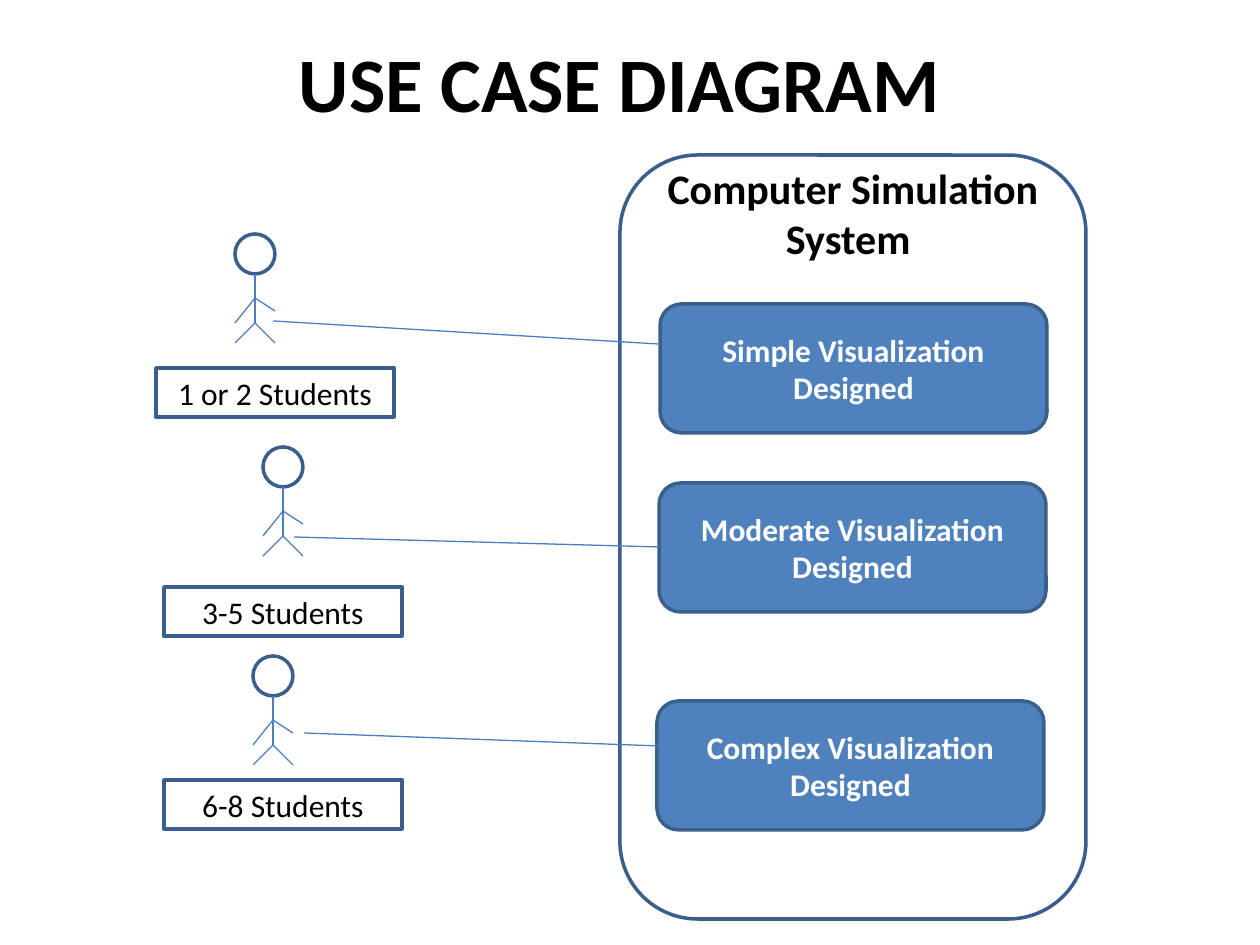
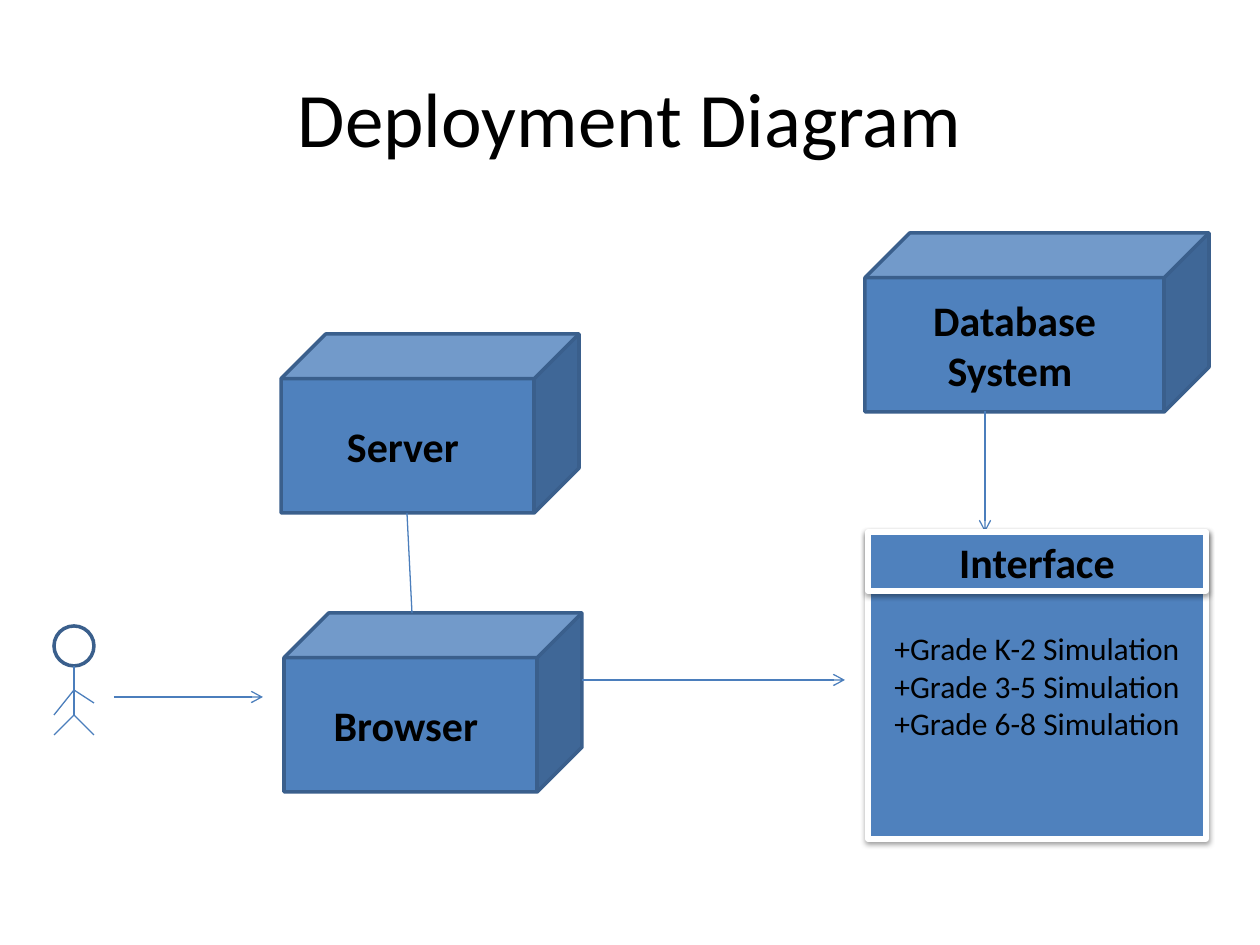
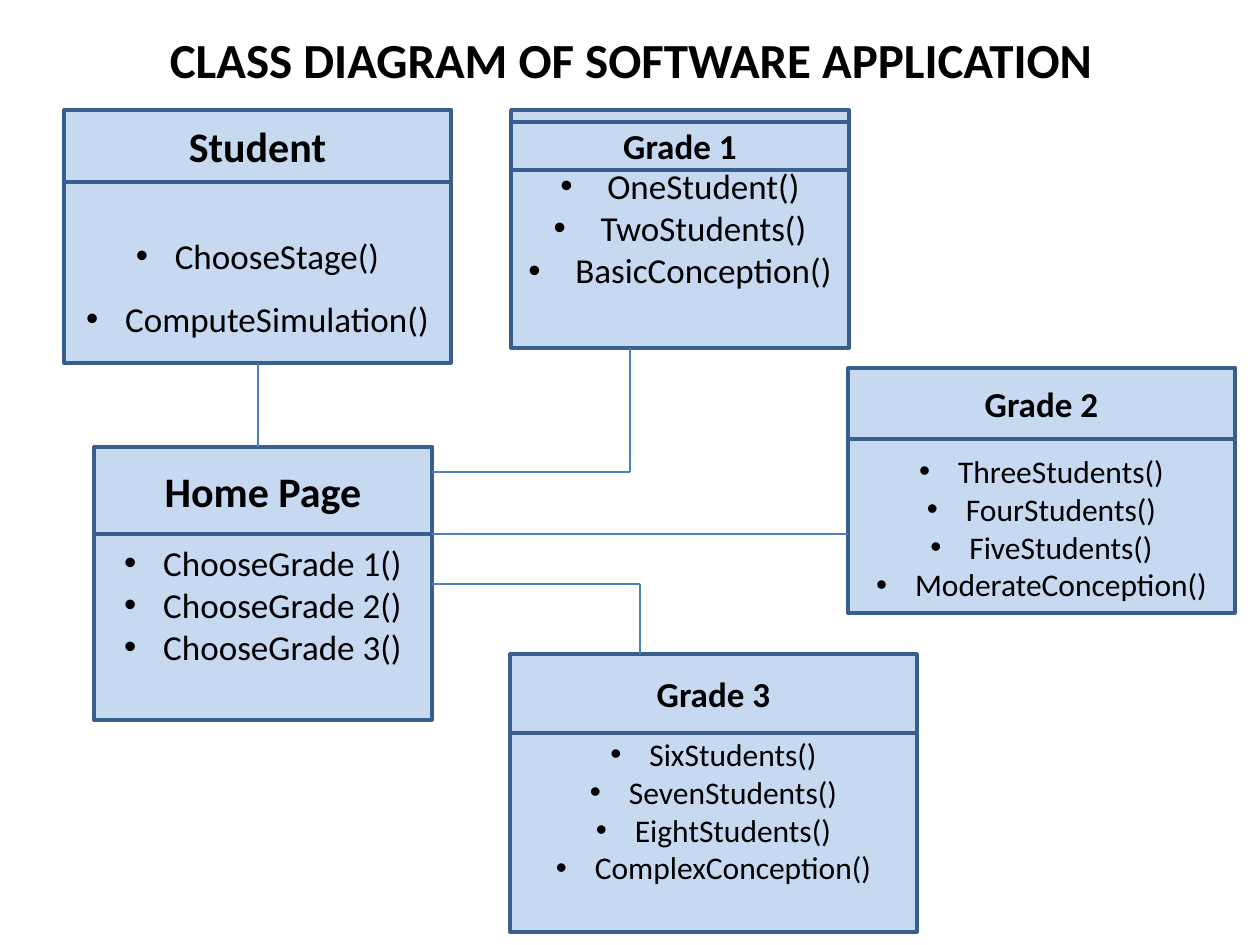
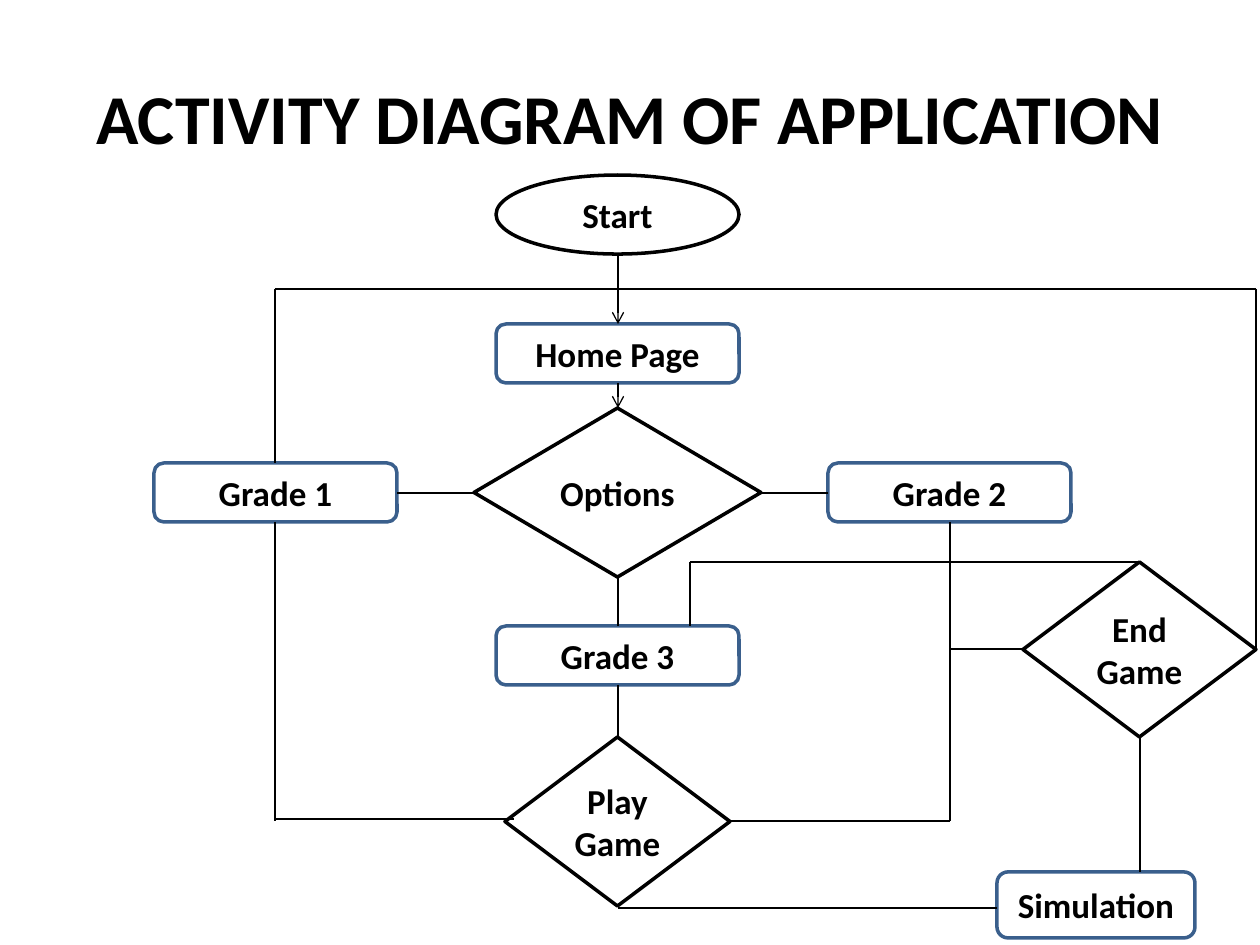
import pptx
import pptx.util
import pptx.dml.color
import pptx.enum.shapes
import pptx.enum.text
import pptx.oxml.ns
from lxml import etree

EMU_PER_PIXEL = 914400 / 126
FONT = "Calibri"
COLORS = {"black": "000000", "white": "FFFFFF", "blue": "4F81BD", "pale": "C6D9F1",
          "edge": "3A5F8C", "link": "4B7EBC"}
SHAPES = pptx.enum.shapes.MSO_SHAPE
MIDDLE = pptx.enum.text.MSO_ANCHOR.MIDDLE
TOP = pptx.enum.text.MSO_ANCHOR.TOP

# Boxes are (left, top, width, height); links are lists of corner points.
USE_CASE = {
    "title": ("USE CASE DIAGRAM", (53, 18, 1134, 127), 44, True),
    "system": ("Computer Simulation System ", (620, 155, 466, 764)),
    "case_size": (387, 129),
    "cases": [("Simple Visualization Designed", (660, 304)),
              ("Moderate Visualization Designed", (659, 483)),
              ("Complex Visualization Designed", (657, 701))],
    "actors": [(235, 234), (263, 447), (253, 656)],
    "label_size": (238, 49),
    "labels": [("1 or 2 Students", (156, 368)), ("3-5 Students", (164, 587)),
               ("6-8 Students", (164, 780))],
    "links": [[(273, 321), (658, 344)], [(294, 537), (659, 547)], [(304, 733), (660, 746)]],
}
DEPLOYMENT = {
    "title": ("Deployment Diagram", (63, 38, 1134, 157), 44, False),
    "actor": (54, 626),
    "cubes": [("Database System ", (865, 233, 344, 179)), ("Browser ", (284, 613, 298, 179)),
              ("Server ", (281, 334, 298, 179))],
    "interface": ("Interface", (868, 532, 338, 307), 59,
                  ["+Grade K-2 Simulation", "+Grade 3-5 Simulation", "+Grade 6-8 Simulation"]),
    "arrows": [[(114, 697), (263, 697)], [(985, 411), (985, 532)], [(582, 680), (845, 680)]],
    "links": [[(407, 513), (412, 613)]],
}
# name, name size, box, header offset, header height, text gap, text size, indent, spacing, methods
CLASSES = {
    "title": ("CLASS DIAGRAM OF SOFTWARE APPLICATION", (64, 0, 1134, 118), 28, True),
    "classes": [
        ("Grade 1", 20, (511, 110, 338, 238), 12, 48, -5, 20, 47, 1,
         ["OneStudent()", "TwoStudents()", "BasicConception()"]),
        ("Home Page", 24, (94, 447, 338, 273), 0, 87, 7, 20, 39, 1,
         ["ChooseGrade 1()", "ChooseGrade 2()", "ChooseGrade 3()"]),
        ("Grade 3", 20, (510, 654, 407, 278), 0, 79, 2, 18, 39, 1,
         ["SixStudents()", "SevenStudents()", "EightStudents()", "ComplexConception()"]),
        ("Grade 2", 20, (848, 368, 387, 245), 0, 71, 13, 18, 39, 1,
         ["ThreeStudents()", "FourStudents()", "FiveStudents()", "ModerateConception()"]),
        ("Student", 24, (64, 110, 387, 253), 0, 72, 32, 20, 39, 1.5,
         ["ChooseStage()", "ComputeSimulation()"]),
    ],
    "links": [[(258, 363), (258, 447)], [(630, 348), (630, 472), (432, 472)],
              [(432, 534), (848, 534)], [(432, 584), (640, 584), (640, 654)]],
}
ACTIVITY = {
    "title": ("ACTIVITY DIAGRAM OF APPLICATION", (63, 38, 1134, 157), 40, True),
    "nodes": [
        ("Start", SHAPES.OVAL, (496, 175, 243, 79)),
        ("Home Page", SHAPES.ROUNDED_RECTANGLE, (496, 324, 243, 59)),
        ("Options", SHAPES.DIAMOND, (474, 408, 287, 169)),
        ("Grade 1", SHAPES.ROUNDED_RECTANGLE, (154, 463, 243, 59)),
        ("Grade 2", SHAPES.ROUNDED_RECTANGLE, (828, 463, 243, 59)),
        ("Grade 3", SHAPES.ROUNDED_RECTANGLE, (496, 626, 243, 59)),
        ("Play Game", SHAPES.DIAMOND, (505, 737, 225, 169)),
        ("Simulation", SHAPES.ROUNDED_RECTANGLE, (997, 872, 198, 66)),
        ("End Game", SHAPES.DIAMOND, (1023, 562, 233, 175)),
    ],
    "arrows": [[(618, 254), (618, 324)], [(618, 383), (618, 408)]],
    "links": [[(474, 493), (397, 493)], [(761, 493), (828, 493)], [(618, 577), (618, 626)],
              [(618, 685), (618, 737)], [(275, 522), (275, 821)], [(275, 819), (514, 819)],
              [(950, 522), (950, 821), (730, 821)], [(618, 908), (997, 908)],
              [(1140, 872), (1140, 737)], [(950, 649), (1023, 649)],
              [(690, 626), (690, 562), (1140, 562)],
              [(275, 463), (275, 289), (1256, 289), (1256, 649)]],
}
# Stick figure, relative to the top left of its head.
HEAD_SIZE = 40
LIMBS = [[(20, 40), (20, 89)], [(0, 109), (20, 89), (40, 109)], [(0, 89), (20, 64), (40, 77)]]


def emu(*pixels):
    """Turn pixels into a list of EMU lengths."""
    return [pptx.util.Emu(round(value * EMU_PER_PIXEL)) for value in pixels]


def rgb(name):
    """Look up a named colour."""
    return pptx.dml.color.RGBColor.from_string(COLORS[name])


def write(shape, lines, size, bold=False, color="black", anchor=MIDDLE):
    """Write centred paragraphs into a shape."""
    frame = shape.text_frame
    frame.word_wrap = True
    frame.vertical_anchor = anchor
    frame.text = "\n".join(lines)
    for paragraph in frame.paragraphs:
        paragraph.alignment = pptx.enum.text.PP_ALIGN.CENTER
        paragraph.font.name = FONT
        paragraph.font.size = pptx.util.Pt(size)
        paragraph.font.bold = bold
        paragraph.font.color.rgb = rgb(color)


def add_text(slide, text, box, size, bold, anchor=MIDDLE):
    """Add a text box, such as a slide title."""
    write(slide.shapes.add_textbox(*emu(*box)), [text], size, bold, anchor=anchor)


def add_box(shapes, kind, box, fill=None, line="edge", width=2):
    """Add an outlined shape, filled when a colour is given."""
    shape = shapes.add_shape(kind, *emu(*box))
    shape.shadow.inherit = False
    if fill:
        shape.fill.solid()
        shape.fill.fore_color.rgb = rgb(fill)
    else:
        shape.fill.background()
    shape.line.color.rgb = rgb(line)
    shape.line.width = pptx.util.Pt(width)
    return shape


def add_links(shapes, routes, color="link", arrow=False):
    """Draw each route as straight connectors from corner to corner."""
    qn = pptx.oxml.ns.qn
    for route in routes:
        for start, end in zip(route, route[1:]):
            connector = shapes.add_connector(
                pptx.enum.shapes.MSO_CONNECTOR.STRAIGHT, *emu(*start, *end))
            connector.line.color.rgb = rgb(color)
            connector.line.width = pptx.util.Pt(0.75)
            if arrow:
                etree.SubElement(connector.line._get_or_add_ln(), qn("a:tailEnd"), type="arrow")
            etree.SubElement(connector._element.spPr, qn("a:effectLst"))


def add_actor(slide, left, top):
    """Draw a grouped stick figure."""
    shapes = slide.shapes.add_group_shape().shapes
    add_box(shapes, SHAPES.FLOWCHART_CONNECTOR, (left, top, HEAD_SIZE, HEAD_SIZE))
    add_links(shapes, [[(left + x, top + y) for x, y in limb] for limb in LIMBS])


def add_soft_shadow(shape):
    """Give a shape a soft shadow below it."""
    qn = pptx.oxml.ns.qn
    effects = shape._element.spPr.find(qn("a:effectLst"))
    shadow = etree.SubElement(effects, qn("a:outerShdw"), blurRad="40000", dist="20000",
                              dir="5400000", rotWithShape="0")
    color = etree.SubElement(shadow, qn("a:srgbClr"), val=COLORS["black"])
    etree.SubElement(color, qn("a:alpha"), val="38000")


def add_bullets(shape, indent, spacing):
    """Give every paragraph a hanging bullet."""
    for paragraph in shape.text_frame.paragraphs:
        paragraph.line_spacing = spacing
        properties = paragraph._p.get_or_add_pPr()
        width = emu(indent)[0]
        properties.set("marL", str(width))
        properties.set("indent", str(-width))
        bullet_font = pptx.oxml.ns.qn("a:buFont")
        bullet = pptx.oxml.ns.qn("a:buChar")
        default_run = properties.find(pptx.oxml.ns.qn("a:defRPr"))
        for tag, attributes in ((bullet_font, {"typeface": "Arial"}), (bullet, {"char": "•"})):
            element = etree.Element(tag, attributes)
            if default_run is None:
                properties.append(element)
            else:
                default_run.addprevious(element)


def add_class(slide, name, name_size, box, offset, header_height, gap, size, indent, spacing,
              methods):
    """Draw a class: a body with its methods and a header over it."""
    left, top, width, _ = box
    shapes = slide.shapes.add_group_shape().shapes
    body = add_box(shapes, SHAPES.RECTANGLE, box, "pale")
    write(body, methods, size, anchor=TOP)
    body.text_frame.margin_top = emu(offset + header_height + gap)[0]
    add_bullets(body, indent, spacing)
    header = add_box(shapes, SHAPES.RECTANGLE, (left, top + offset, width, header_height), "pale")
    write(header, [name], name_size, True)


def build_use_case(slide):
    """Draw actors, their labels and the cases in the system."""
    name, box = USE_CASE["system"]
    add_box(slide.shapes, SHAPES.ROUNDED_RECTANGLE, box, "white")
    add_text(slide, name, (box[0], box[1] + 1, box[2], 114), 24, True, TOP)
    for text, corner in USE_CASE["cases"]:
        case = add_box(slide.shapes, SHAPES.ROUNDED_RECTANGLE, corner + USE_CASE["case_size"],
                       "blue")
        write(case, [text], 18, True, "white")
    for corner in USE_CASE["actors"]:
        add_actor(slide, *corner)
    for text, corner in USE_CASE["labels"]:
        label = add_box(slide.shapes, SHAPES.RECTANGLE, corner + USE_CASE["label_size"])
        write(label, [text], 18)
    add_links(slide.shapes, USE_CASE["links"])


def build_deployment(slide):
    """Draw the nodes, the interface and the flow between them."""
    add_actor(slide, *DEPLOYMENT["actor"])
    for text, box in DEPLOYMENT["cubes"]:
        write(add_box(slide.shapes, SHAPES.CUBE, box, "blue"), [text], 24, True)
    add_links(slide.shapes, DEPLOYMENT["arrows"], arrow=True)
    add_links(slide.shapes, DEPLOYMENT["links"])
    name, box, header_height, operations = DEPLOYMENT["interface"]
    shapes = slide.shapes.add_group_shape().shapes
    for part, lines, size, bold in ((box, operations, 18, False),
                                    (box[:3] + (header_height,), [name], 24, True)):
        panel = add_box(shapes, SHAPES.RECTANGLE, part, "blue", "white", 3)
        add_soft_shadow(panel)
        write(panel, lines, size, bold)


def build_classes(slide):
    """Draw the classes and their relations."""
    for entry in CLASSES["classes"]:
        add_class(slide, *entry)
    add_links(slide.shapes, CLASSES["links"])


def build_activity(slide):
    """Draw the flow chart; pages have a blue edge, other steps a black one."""
    for text, kind, box in ACTIVITY["nodes"]:
        line = "edge" if kind == SHAPES.ROUNDED_RECTANGLE else "black"
        write(add_box(slide.shapes, kind, box, line=line), [text], 20, True)
    add_links(slide.shapes, ACTIVITY["arrows"], "black", True)
    add_links(slide.shapes, ACTIVITY["links"], "black")


presentation = pptx.Presentation()
presentation.slide_width, presentation.slide_height = emu(1260, 945)
for content, build in ((USE_CASE, build_use_case), (DEPLOYMENT, build_deployment),
                       (CLASSES, build_classes), (ACTIVITY, build_activity)):
    slide = presentation.slides.add_slide(presentation.slide_layouts[6])
    add_text(slide, *content["title"])
    build(slide)
presentation.save("out.pptx")
